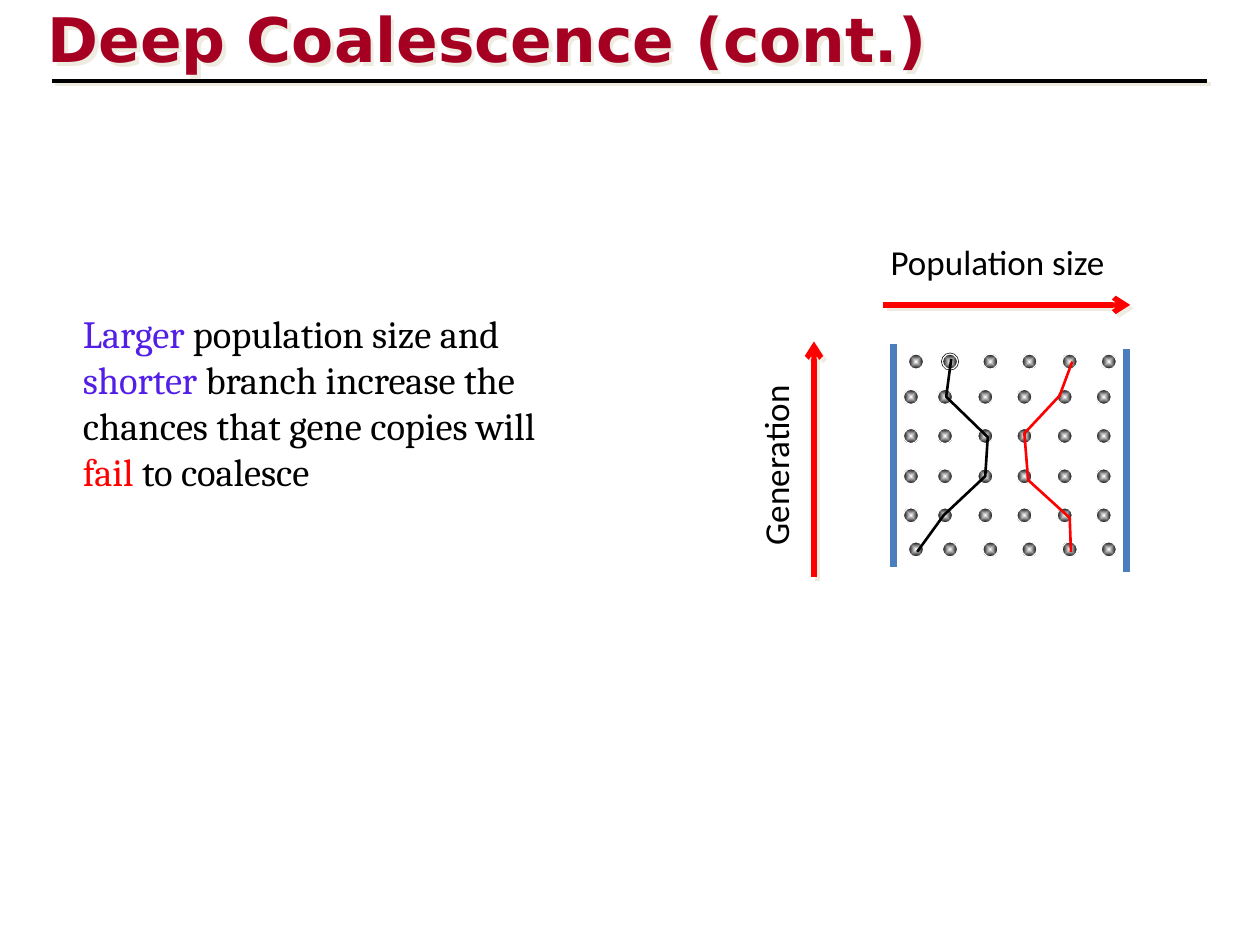
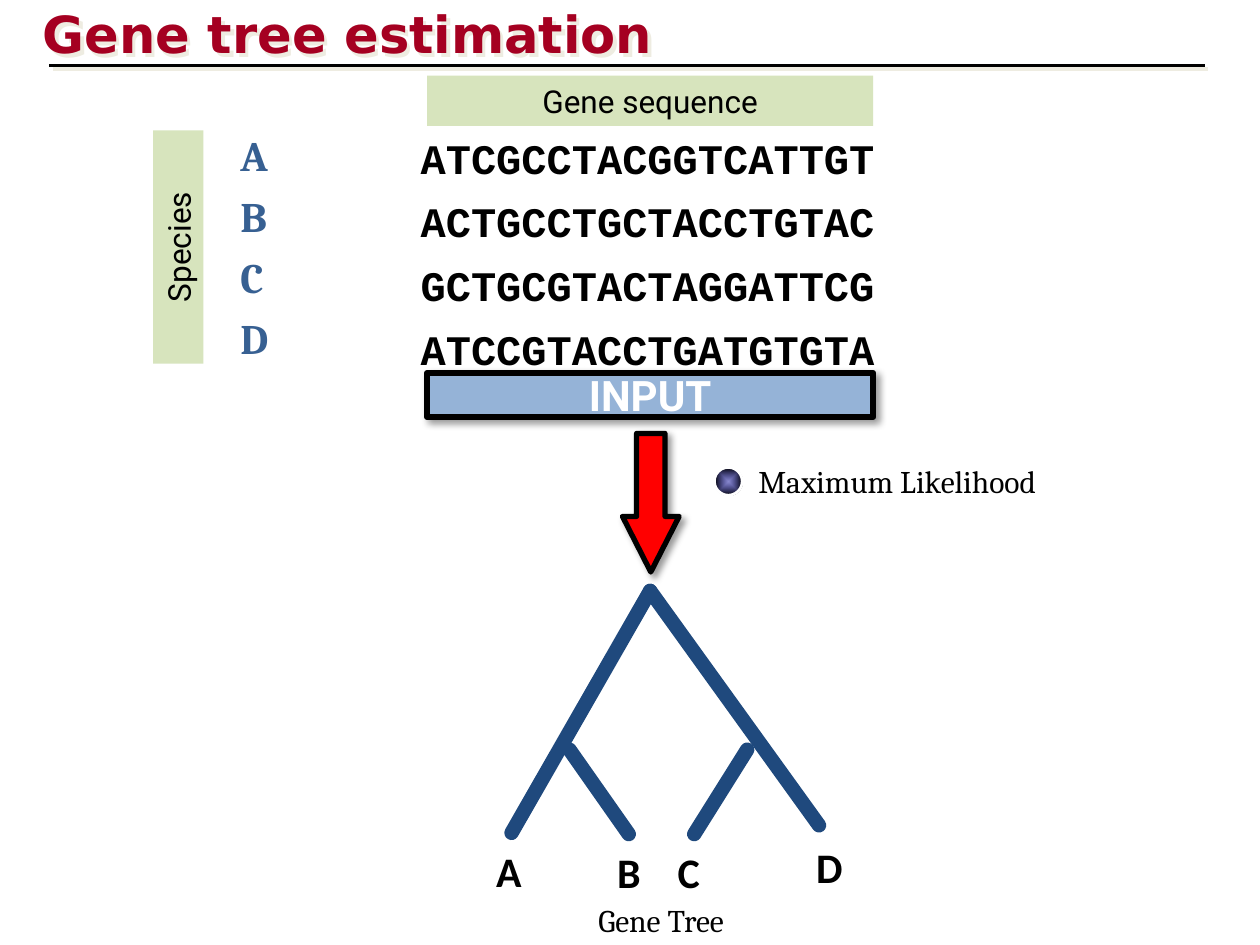
import pptx
import pptx.util
import pptx.dml.color
import pptx.enum.shapes
import pptx.enum.text
import pptx.oxml
import pptx.oxml.ns
from pptx.util import Inches

RGBColor = pptx.dml.color.RGBColor
BLACK = RGBColor(0x00, 0x00, 0x00)
WHITE = RGBColor(0xFF, 0xFF, 0xFF)
RED = RGBColor(0xFF, 0x00, 0x00)
CRIMSON = RGBColor(0xA5, 0x00, 0x21)
VIOLET = RGBColor(0x53, 0x1F, 0xE7)
CREAM = RGBColor(0xEE, 0xEC, 0xE1)
WALL_BLUE = RGBColor(0x4B, 0x7E, 0xBC)
TREE_BLUE = RGBColor(0x1F, 0x49, 0x7D)
SPECIES_BLUE = RGBColor(0x37, 0x60, 0x92)
INPUT_BLUE = RGBColor(0x95, 0xB3, 0xD7)
BULLET_BLUE = RGBColor(0x00, 0x00, 0x99)
GREEN = RGBColor(0xD7, 0xE4, 0xBD)

SOFT_SHADOW = (CREAM, 100, 0, 2.8)
DARK_SHADOW = (BLACK, 40, 4, 3)
NAMESPACE = pptx.oxml.ns.nsdecls("a")
STRAIGHT = pptx.enum.shapes.MSO_CONNECTOR.STRAIGHT
SHAPES = pptx.enum.shapes.MSO_SHAPE
TOP = pptx.enum.text.MSO_ANCHOR.TOP
MIDDLE = pptx.enum.text.MSO_ANCHOR.MIDDLE
LEFT = pptx.enum.text.PP_ALIGN.LEFT
CENTER = pptx.enum.text.PP_ALIGN.CENTER


def style(shape, fill=None, line=None, width=1, shadow=None, tail=None, cap=None):
    properties = shape.element.spPr
    if isinstance(fill, RGBColor):
        shape.fill.solid()
        shape.fill.fore_color.rgb = fill
    elif fill:
        center, alpha = fill
        shape.fill.gradient()
        gradient = properties.find(pptx.oxml.ns.qn("a:gradFill"))
        properties.replace(gradient, pptx.oxml.parse_xml(
            f'<a:gradFill {NAMESPACE}><a:gsLst>'
            f'<a:gs pos="0"><a:srgbClr val="{center}"><a:alpha val="{alpha * 1000}"/></a:srgbClr></a:gs>'
            f'<a:gs pos="100000"><a:srgbClr val="{BLACK}"/></a:gs></a:gsLst>'
            '<a:path path="shape"><a:fillToRect l="50000" t="50000" r="50000" b="50000"/></a:path>'
            '</a:gradFill>'))
    elif hasattr(shape, "fill"):
        shape.fill.background()
    if line is None:
        shape.line.fill.background()
    else:
        shape.line.color.rgb = line
        shape.line.width = pptx.util.Pt(width)
    outline = properties.find(pptx.oxml.ns.qn("a:ln"))
    if cap:
        outline.set("cap", cap)
    if tail:
        outline.append(pptx.oxml.parse_xml(f'<a:tailEnd {NAMESPACE} type="{tail}"/>'))
    outer = ""
    if shadow:
        color, opacity, blur, distance = shadow
        outer = (f'<a:outerShdw blurRad="{pptx.util.Pt(blur)}" dist="{pptx.util.Pt(distance)}" '
                 f'dir="2700000" algn="ctr" rotWithShape="0"><a:srgbClr val="{color}">'
                 f'<a:alpha val="{opacity * 1000}"/></a:srgbClr></a:outerShdw>')
    properties.append(pptx.oxml.parse_xml(f'<a:effectLst {NAMESPACE}>{outer}</a:effectLst>'))


def write(shape, paragraphs, font, anchor=TOP, align=LEFT, space=0):
    frame = shape.text_frame
    frame.word_wrap = True
    frame.vertical_anchor = anchor
    for index, runs in enumerate(paragraphs):
        paragraph = frame.paragraphs[0] if index == 0 else frame.add_paragraph()
        paragraph.alignment = align
        if index:
            paragraph.space_before = pptx.util.Pt(space)
        for text, color in runs:
            run = paragraph.add_run()
            run.text = text
            for name, value in font.items():
                setattr(run.font, name, value)
            run.font.color.rgb = color


TITLE_FONT = {"name": "DejaVu Sans", "bold": True}
AXIS_FONT = {"name": "Calibri", "size": pptx.util.Pt(20)}
BODY_FONT = {"name": "Cambria", "size": pptx.util.Pt(22)}
CAPTION_FONT = {"name": "Cambria", "size": pptx.util.Pt(18)}
BAND_FONT = {"name": "Roboto", "size": pptx.util.Pt(18)}
INPUT_FONT = {"name": "Roboto", "size": pptx.util.Pt(24), "bold": True}
LEAF_FONT = {"name": "Calibri", "size": pptx.util.Pt(24), "bold": True}
SEQUENCE_FONT = {"name": "Courier New", "size": pptx.util.Pt(24), "bold": True}
SPECIES_FONT = {"name": "Cambria", "size": pptx.util.Pt(24), "bold": True}

presentation = pptx.Presentation()
presentation.slide_width = Inches(10)
presentation.slide_height = Inches(7.5)

slides = []
for title, size, left, top, width, rule_left, rule_top in [
    ("Deep Coalescence (cont.)", 35.1, 0.28, -0.03, 8.5, 0.41, 0.64),
    ("Gene tree estimation", 29.2, 0.24, -0.07, 9.02, 0.39, 0.52),
]:
    slide = presentation.slides.add_slide(presentation.slide_layouts[6])
    slides.append(slide)
    box = slide.shapes.add_textbox(Inches(left), Inches(top), Inches(width), Inches(0.67))
    style(box, shadow=SOFT_SHADOW)
    write(box, [[(title, CRIMSON)]], {**TITLE_FONT, "size": pptx.util.Pt(size)}, MIDDLE)
    rule = slide.shapes.add_connector(
        STRAIGHT, Inches(rule_left), Inches(rule_top), Inches(rule_left + 9.17), Inches(rule_top))
    style(rule, line=BLACK, width=2.25, shadow=SOFT_SHADOW)

coalescence, estimation = slides

ROWS = [2.81, 3.09, 3.4, 3.72, 4.03, 4.3]
COLUMNS = [7.17, 7.44, 7.76, 8.07, 8.39, 8.7]
dots = [(7.48, ROWS[0], BLACK, 1.5)]
for row in ROWS:
    shift = 0.04 if row in (ROWS[0], ROWS[-1]) else 0
    dots += [(column + shift, row, WHITE, 0.75) for column in COLUMNS]
for left, top, outline, width in dots:
    dot = coalescence.shapes.add_shape(
        SHAPES.OVAL, Inches(left), Inches(top), Inches(0.12), Inches(0.12))
    style(dot, (WHITE, 100), outline, width)

for left, top, right, bottom in [(6.46, 4.58, 6.46, 2.71), (7.01, 2.42, 8.97, 2.42)]:
    axis = coalescence.shapes.add_connector(
        STRAIGHT, Inches(left), Inches(top), Inches(right), Inches(bottom))
    style(axis, line=RED, width=3, shadow=SOFT_SHADOW, tail="arrow")

for label, left, top, width, rotation in [
    ("Population size", 6.97, 1.86, 2.44, 0),
    ("Generation", 5.33, 3.38, 1.65, 270),
]:
    box = coalescence.shapes.add_textbox(Inches(left), Inches(top), Inches(width), Inches(0.44))
    box.rotation = rotation
    write(box, [[(label, BLACK)]], AXIS_FONT)

for left, top in [(7.09, 2.73), (8.94, 2.77)]:
    wall = coalescence.shapes.add_connector(
        STRAIGHT, Inches(left), Inches(top), Inches(left), Inches(top + 1.77))
    style(wall, line=WALL_BLUE, width=4)

for color, points in [
    (BLACK, [(7.28, 4.38), (7.49, 4.09), (7.82, 3.78), (7.84, 3.47), (7.51, 3.15), (7.55, 2.85)]),
    (RED, [(8.5, 4.38), (8.49, 4.11), (8.16, 3.81), (8.13, 3.44), (8.41, 3.14), (8.51, 2.87)]),
]:
    corners = [(Inches(x), Inches(y)) for x, y in points]
    builder = coalescence.shapes.build_freeform(*corners[0])
    builder.add_line_segments(corners[1:], close=False)
    style(builder.convert_to_shape(), line=color, width=1.5)

box = coalescence.shapes.add_textbox(Inches(0.56), Inches(2.41), Inches(3.86), Inches(1.58))
write(box, [[
    ("Larger", VIOLET), (" population size and ", BLACK), ("shorter", VIOLET),
    (" branch increase the chances that gene copies will ", BLACK),
    ("fail", RED), (" to coalesce", BLACK),
]], BODY_FONT)

sequences = {
    "A": "ATCGCCTACGGTCATTGT",
    "B": "ACTGCCTGCTACCTGTAC",
    "C": "GCTGCGTACTAGGATTCG",
    "D": "ATCCGTACCTGATGTGTA",
}
for lines, color, font, left, top, width, space in [
    (sequences.values(), BLACK, SEQUENCE_FONT, 3.24, 1.0, 3.97, 7.6),
    (sequences, SPECIES_BLUE, SPECIES_FONT, 1.81, 0.98, 0.67, 6),
]:
    box = estimation.shapes.add_textbox(Inches(left), Inches(top), Inches(width), Inches(1.9))
    write(box, [[(line, color)] for line in lines], font, space=space)

for left, top, right, bottom in [
    (4.06, 6.61, 5.16, 4.69),
    (4.52, 5.95, 4.99, 6.62),
    (5.16, 4.69, 6.5, 6.55),
    (5.93, 5.95, 5.51, 6.62),
]:
    branch = estimation.shapes.add_connector(
        STRAIGHT, Inches(left), Inches(top), Inches(right), Inches(bottom))
    style(branch, line=TREE_BLUE, width=8.25, cap="rnd")

arrow = estimation.shapes.add_shape(
    SHAPES.DOWN_ARROW, Inches(4.94), Inches(3.44), Inches(0.45), Inches(1.1))
arrow.adjustments[0] = 0.5
arrow.adjustments[1] = 0.98
style(arrow, RED, BLACK, 3, DARK_SHADOW)

for label, font, left, top, width, height in [
    ("A", LEAF_FONT, 3.84, 6.66, 0.43, 0.5),
    ("B", LEAF_FONT, 4.8, 6.67, 0.43, 0.5),
    ("C", LEAF_FONT, 5.28, 6.67, 0.43, 0.5),
    ("D", LEAF_FONT, 6.38, 6.63, 0.43, 0.5),
    ("Gene Tree", CAPTION_FONT, 4.65, 7.1, 1.81, 0.4),
    ("Maximum Likelihood", CAPTION_FONT, 5.92, 3.62, 2.66, 0.4),
]:
    box = estimation.shapes.add_textbox(Inches(left), Inches(top), Inches(width), Inches(height))
    write(box, [[(label, BLACK)]], font)

for label, color, font, left, top, width, height, rotation, look in [
    ("INPUT", WHITE, INPUT_FONT, 3.39, 2.96, 3.54, 0.35, 0, (INPUT_BLUE, BLACK, 3.5, DARK_SHADOW)),
    ("Species", BLACK, BAND_FONT, 0.49, 1.76, 1.85, 0.4, 270, (GREEN,)),
    ("Gene sequence", BLACK, BAND_FONT, 3.39, 0.6, 3.54, 0.4, 0, (GREEN,)),
]:
    band = estimation.shapes.add_shape(
        SHAPES.RECTANGLE, Inches(left), Inches(top), Inches(width), Inches(height))
    band.rotation = rotation
    style(band, *look)
    write(band, [[(label, color)]], font, MIDDLE, CENTER)

bullet = estimation.shapes.add_shape(
    SHAPES.OVAL, Inches(5.67), Inches(3.71), Inches(0.22), Inches(0.22))
style(bullet, (BULLET_BLUE, 46), WHITE, 1.5)

presentation.save("out.pptx")
